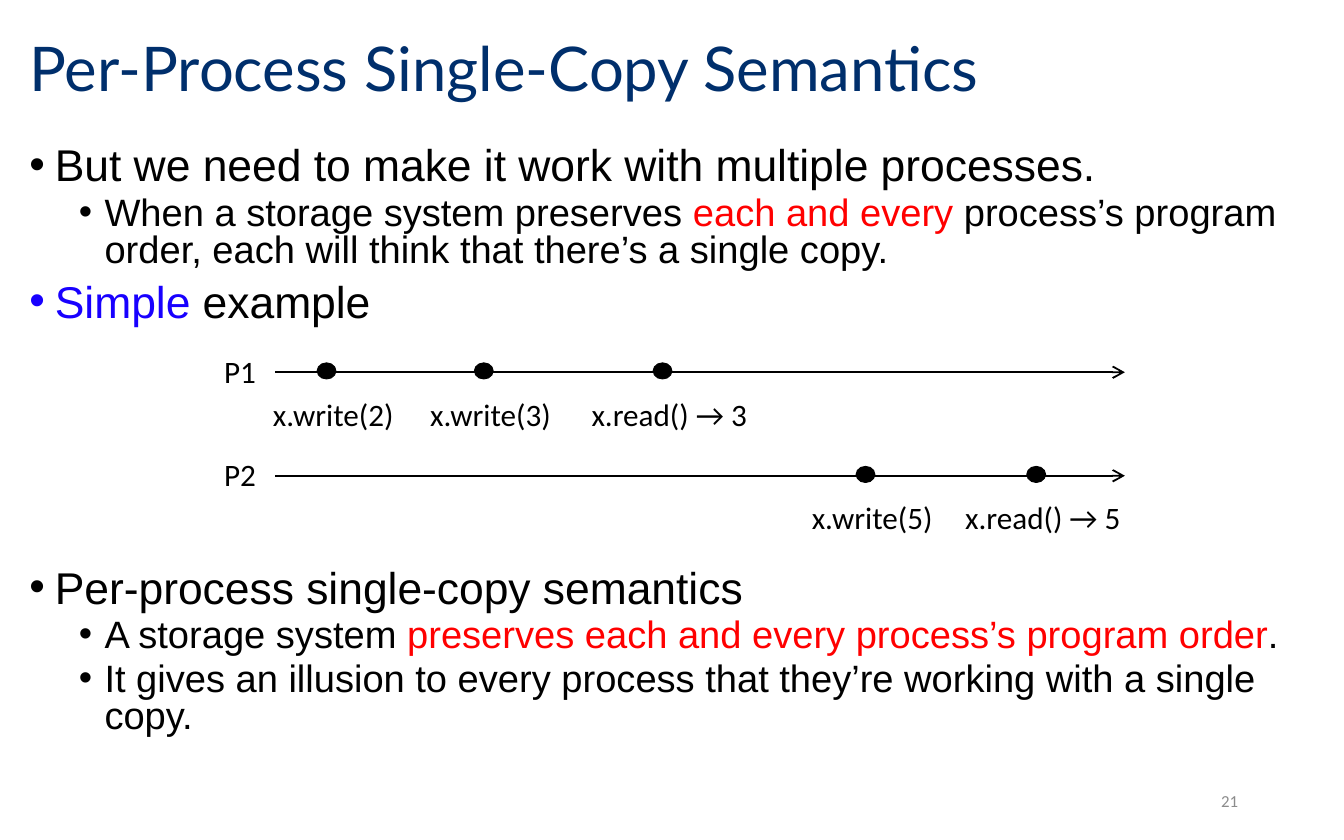
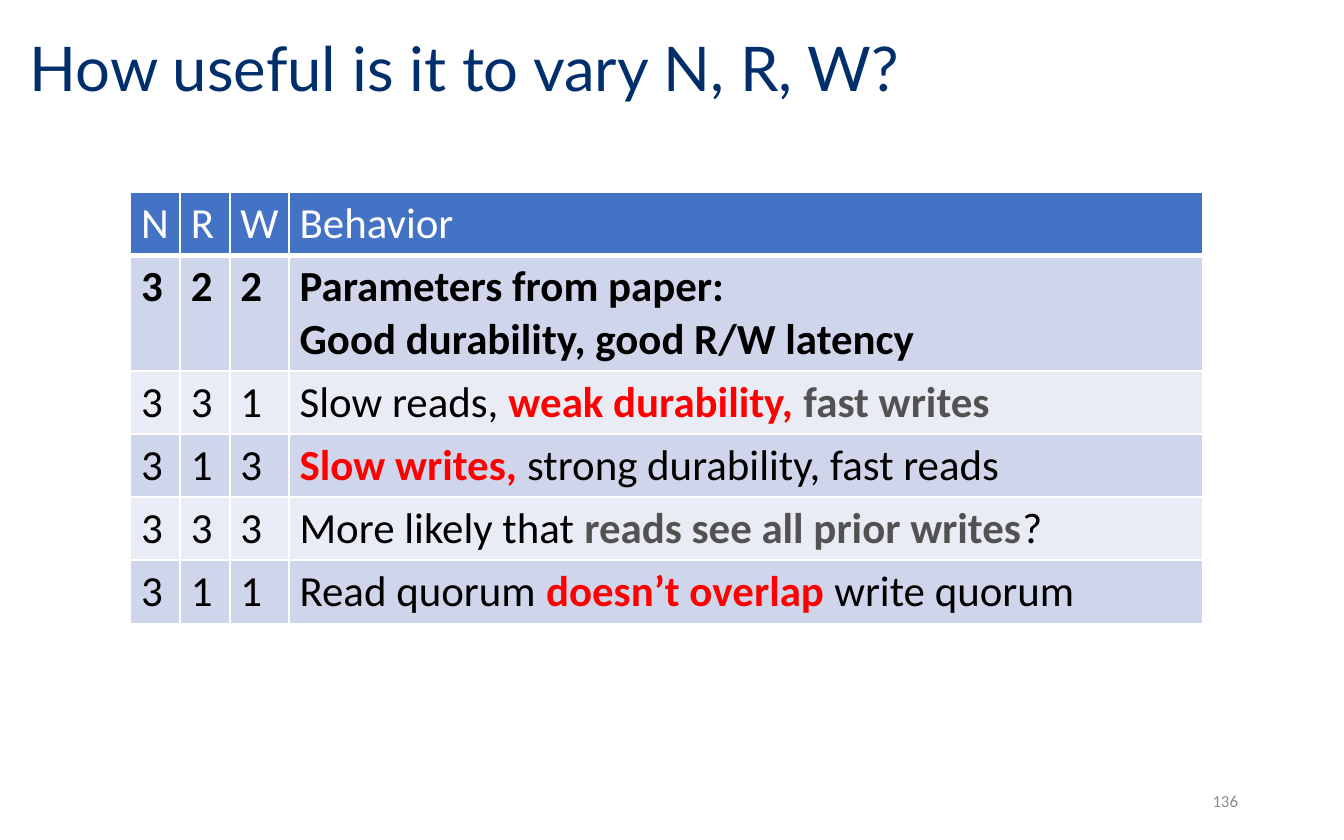
from lxml.etree import SubElement
from pptx import Presentation
from pptx.dml.color import RGBColor
from pptx.enum.shapes import MSO_CONNECTOR as Connector, MSO_SHAPE as Shape
from pptx.enum.text import MSO_ANCHOR as Anchor, MSO_AUTO_SIZE as AutoSize, PP_ALIGN as Align
from pptx.oxml.ns import qn
from pptx.util import Inches, Pt

COLOURS = {
    "navy": "002F6C",
    "black": "000000",
    "red": "FF0000",
    "blue": "1800FF",
    "dark_grey": "525252",
    "page_grey": "8C8C8C",
    "white": "FFFFFF",
    "header": "4472C4",
    "band_dark": "CFD5EA",
    "band_light": "E9EBF5",
}
TITLE_FONT, BODY_FONT, LABEL_FONT = "Lato", "Arial", "Calibri"
TITLE_ONLY = 5


def colour(name):
    return RGBColor.from_string(COLOURS[name])


class Deck:
    def __init__(self, width, height):
        self.presentation = Presentation()
        self.presentation.slide_width = Inches(width)
        self.presentation.slide_height = Inches(height)
        self.slide = None

    def add_slide(self, title, number):
        layout = self.presentation.slide_layouts[TITLE_ONLY]
        self.slide = self.presentation.slides.add_slide(layout)
        shape = self.slide.shapes.title
        shape.left, shape.top = Inches(0.12), Inches(0.1)
        shape.width, shape.height = Inches(8.52), Inches(0.86)
        frame = shape.text_frame
        frame.auto_size = AutoSize.NONE
        frame.vertical_anchor = Anchor.MIDDLE
        paragraph = frame.paragraphs[0]
        paragraph.line_spacing = 0.9
        self.fill_paragraph(paragraph, [title], TITLE_FONT, 33, "navy", align=Align.LEFT)
        self.text(7.06, 5.79, 2.25, 0.33, str(number), 9, "page_grey", Align.RIGHT, Anchor.MIDDLE)

    def fill_paragraph(self, paragraph, runs, font, size, base="black", bold=False,
                       bold_accents=False, align=None):
        paragraph.alignment = align
        paragraph.font.name = font
        paragraph.font.size = Pt(size)
        paragraph.font.bold = bold
        paragraph.font.color.rgb = colour(base)
        for item in runs:
            text, accent = (item, None) if isinstance(item, str) else item
            run = paragraph.add_run()
            run.text = text
            if accent:
                run.font.color.rgb = colour(accent)
                if bold_accents:
                    run.font.bold = True

    def frame(self, left, top, width, height):
        box = self.slide.shapes.add_textbox(Inches(left), Inches(top), Inches(width), Inches(height))
        box.text_frame.word_wrap = True
        return box.text_frame

    def text(self, left, top, width, height, text, size, base="black",
             align=Align.LEFT, anchor=Anchor.TOP):
        frame = self.frame(left, top, width, height)
        frame.vertical_anchor = anchor
        self.fill_paragraph(frame.paragraphs[0], [text], LABEL_FONT, size, base, align=align)

    def bullets(self, left, top, width, height, items):
        frame = self.frame(left, top, width, height)
        for index, (level, gap, runs) in enumerate(items):
            paragraph = frame.add_paragraph() if index else frame.paragraphs[0]
            paragraph.level = level
            properties = paragraph._p.get_or_add_pPr()
            properties.set("marL", str(Inches(0.56 if level else 0.19)))
            properties.set("indent", str(Inches(-0.19)))
            SubElement(properties, qn("a:buFont"), typeface="Arial")
            SubElement(properties, qn("a:buChar"), char="•")
            paragraph.line_spacing = 0.8
            paragraph.space_before = Pt(gap)
            self.fill_paragraph(paragraph, runs, BODY_FONT, 20.4 if level else 23.8)

    def arrow(self, start, end, y):
        connector = self.slide.shapes.add_connector(
            Connector.STRAIGHT, Inches(start), Inches(y), Inches(end), Inches(y))
        connector.line.color.rgb = colour("black")
        connector.line.width = Pt(1)
        SubElement(connector.line._get_or_add_ln(), qn("a:tailEnd"), type="arrow")
        SubElement(connector._element.spPr, qn("a:effectLst"))

    def dot(self, centre, y):
        width, height = 0.14, 0.12
        shape = self.slide.shapes.add_shape(
            Shape.OVAL, Inches(centre - width / 2), Inches(y - 0.07), Inches(width), Inches(height))
        shape.shadow.inherit = False
        shape.fill.solid()
        shape.fill.fore_color.rgb = colour("black")
        shape.line.color.rgb = colour("black")
        shape.line.width = Pt(0.5)

    def timeline(self, process, y, events):
        label_width, label_height, size = 2.86, 0.38, 16.7
        self.arrow(2.05, 8.37, y)
        self.text(1.57, y - 0.2, 0.8, label_height, process, size)
        for centre, label in events:
            self.dot(centre, y)
            self.text(centre + 0.05 - label_width / 2, y + 0.12, label_width, label_height,
                      label, size, align=Align.CENTER)

    def cell(self, cell, paragraphs, fill, base, bold, bottom):
        cell.margin_left = cell.margin_right = Inches(0.08)
        cell.margin_top = cell.margin_bottom = Inches(0.04)
        properties = cell._tc.get_or_add_tcPr()
        for side, points in (("L", 1), ("R", 1), ("T", 1), ("B", bottom)):
            line = SubElement(properties, qn(f"a:ln{side}"), w=str(Pt(points)))
            solid = SubElement(line, qn("a:solidFill"))
            SubElement(solid, qn("a:srgbClr"), val=COLOURS["white"])
        cell.fill.solid()
        cell.fill.fore_color.rgb = colour(fill)
        for index, runs in enumerate(paragraphs):
            paragraph = cell.text_frame.add_paragraph() if index else cell.text_frame.paragraphs[0]
            self.fill_paragraph(paragraph, runs, LABEL_FONT, 23, base, bold, bold_accents=True)

    def table(self, left, top, widths, heights, rows, bold_row):
        table = self.slide.shapes.add_table(
            len(rows), len(widths), Inches(left), Inches(top),
            Inches(sum(widths)), Inches(sum(heights))).table
        table.first_row = table.horz_banding = False
        for column, width in zip(table.columns, widths):
            column.width = Inches(width)
        for index, (values, behavior) in enumerate(rows):
            table.rows[index].height = Inches(heights[index])
            header = index == 0
            fill = "header" if header else "band_dark" if index % 2 else "band_light"
            contents = [[[value]] for value in values] + [behavior]
            for cell, paragraphs in zip(table.rows[index].cells, contents):
                self.cell(cell, paragraphs, fill, "white" if header else "black",
                          index == bold_row, 3 if header else 1)


def semantics_slide(deck):
    deck.add_slide("Per-Process Single-Copy Semantics", 21)
    timeline_gap = 130
    deck.bullets(0.12, 1.05, 9.77, 4.58, [
        (0, 0, ["But we need to make it work with multiple processes."]),
        (1, 3.8, ["When a storage system preserves ", ("each and every", "red"),
                  " process’s program order, each will think that there’s a single copy."]),
        (0, 7.5, [("Simple", "blue"), " example"]),
        (0, timeline_gap, ["Per-process single-copy semantics"]),
        (1, 3.8, ["A storage system ",
                  ("preserves each and every process’s program order", "red"), "."]),
        (1, 3.8, ["It gives an illusion to every process that they’re working with a single copy."]),
    ])
    deck.timeline("P1", 2.77, [(2.43, "x.write(2)"), (3.6, "x.write(3)"), (4.93, "x.read() → 3")])
    deck.timeline("P2", 3.54, [(6.44, "x.write(5)"), (7.71, "x.read() → 5")])


def quorum_slide(deck):
    deck.add_slide("How useful is it to vary N, R, W?", 136)
    rows = [
        ("NRW", [["Behavior"]]),
        ("322", [["Parameters from paper:"], ["Good durability, good R/W latency"]]),
        ("331", [["Slow reads, ", ("weak durability, ", "red"), ("fast writes", "dark_grey")]]),
        ("313", [[("Slow writes, ", "red"), "strong durability, fast reads"]]),
        ("333", [["More likely that ", ("reads see all prior writes", "dark_grey"), "?"]]),
        ("311", [["Read quorum ", ("doesn’t overlap ", "red"), "write quorum"]]),
    ]
    heights = [0.47, 0.86] + [0.47] * 4
    deck.table(0.97, 1.43, [0.37, 0.37, 0.44, 6.8], heights, rows, bold_row=1)


def main():
    deck = Deck(10, 6.25)
    semantics_slide(deck)
    quorum_slide(deck)
    deck.presentation.save("out.pptx")


if __name__ == "__main__":
    main()
